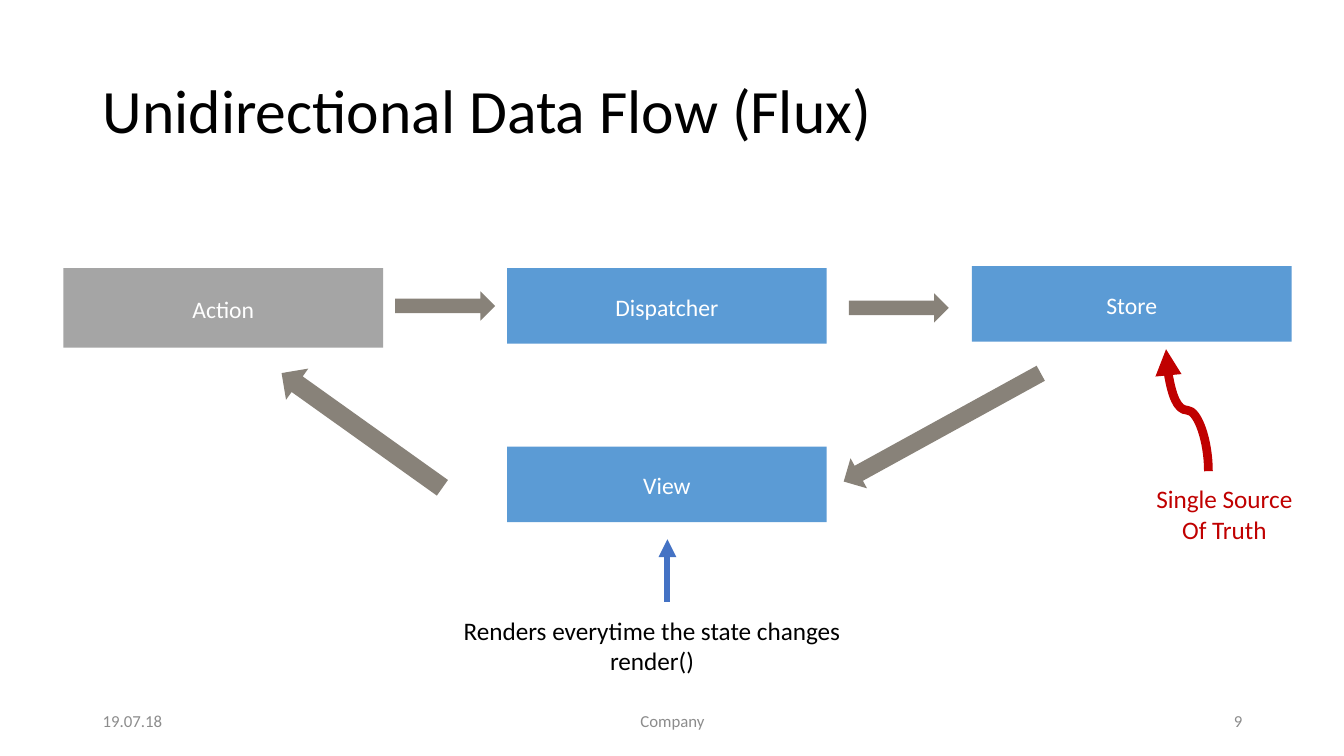
from lxml.etree import SubElement
from pptx import Presentation
from pptx.dml.color import RGBColor
from pptx.enum.shapes import MSO_CONNECTOR as Link, MSO_SHAPE as Shape
from pptx.enum.text import MSO_ANCHOR as Anchor, MSO_AUTO_SIZE as Fit, PP_ALIGN as Align
from pptx.oxml.ns import qn
from pptx.util import Inches, Pt

BLACK = RGBColor(0x00, 0x00, 0x00)
WHITE = RGBColor(0xFF, 0xFF, 0xFF)
GRAY = RGBColor(0xA5, 0xA5, 0xA5)
FOOTER_GRAY = RGBColor(0x8C, 0x8C, 0x8C)
ARROW_GRAY = RGBColor(0x88, 0x82, 0x79)
BLUE = RGBColor(0x5B, 0x9B, 0xD5)
POINTER_BLUE = RGBColor(0x44, 0x72, 0xC4)
RED = RGBColor(0xC0, 0x00, 0x00)


def write(para, text, size=18, color=BLACK, align=Align.LEFT, spacing=None, after=None):
    """Fill one paragraph with a formatted run."""
    para.alignment = align
    if spacing is not None:
        para.line_spacing = spacing
    if after is not None:
        para.space_after = Pt(after)
    span = para.add_run()
    span.text = text
    span.font.name = "Calibri"
    span.font.size = Pt(size)
    span.font.color.rgb = color


def add_title(page, left, top, width, height):
    """Place the slide title."""
    title = page.shapes.title
    title.left, title.top = Inches(left), Inches(top)
    title.width, title.height = Inches(width), Inches(height)
    frame = title.text_frame
    frame.word_wrap = True
    frame.auto_size = Fit.NONE
    frame.vertical_anchor = Anchor.MIDDLE
    write(frame.paragraphs[0], "Unidirectional Data Flow (Flux)", size=44, spacing=0.9)


def add_footer(page, left, top, width, height):
    """Place date, company and page number across the footer box."""
    side, middle = 3, 4.5
    parts = [
        ("19.07.18", left, side, Align.LEFT),
        ("Company", left + (width - middle) / 2, middle, Align.CENTER),
        ("9", left + width - side, side, Align.RIGHT),
    ]
    for text, part_left, part_width, align in parts:
        box = page.shapes.add_textbox(
            Inches(part_left), Inches(top), Inches(part_width), Inches(height))
        frame = box.text_frame
        frame.word_wrap = True
        frame.vertical_anchor = Anchor.MIDDLE
        write(frame.paragraphs[0], text, size=12, color=FOOTER_GRAY, align=align)


def add_block(page, kind, left, top, width, height, color, rotation=0):
    """Add a plain filled shape."""
    block = page.shapes.add_shape(
        kind, Inches(left), Inches(top), Inches(width), Inches(height))
    block.shadow.inherit = False
    block.fill.solid()
    block.fill.fore_color.rgb = color
    block.line.fill.background()
    block.rotation = rotation
    return block


def add_node(page, text, left, top, height=0.75, color=BLUE):
    """Add a labelled box of the data flow."""
    node = add_block(page, Shape.RECTANGLE, left, top, 3.17, height, color)
    frame = node.text_frame
    frame.word_wrap = True
    frame.vertical_anchor = Anchor.MIDDLE
    frame.margin_left = frame.margin_right = Inches(0.11)
    write(frame.paragraphs[0], text, size=16.9, color=WHITE,
          align=Align.CENTER, spacing=1.07, after=8.5)


def add_flow(page, left, top):
    """Place the four nodes and the block arrows of the cycle."""
    add_node(page, "Action", left, top + 0.02, height=0.79, color=GRAY)
    add_node(page, "Dispatcher", left + 4.4, top + 0.02)
    add_node(page, "Store", left + 9.01, top)
    add_node(page, "View", left + 4.4, top + 1.79)
    arrows = [
        (3.29, 0.25, 0.99, 0.29, 0),
        (7.79, 0.27, 0.99, 0.29, 0),
        (7.6, 1.43, 2.23, 0.34, 151.2),
        (1.98, 1.44, 1.96, 0.38, 215.5),
    ]
    for across, down, width, height, rotation in arrows:
        add_block(page, Shape.RIGHT_ARROW, left + across, top + down,
                  width, height, ARROW_GRAY, rotation)


def add_pointer(group, kind, start, end, color, weight, rotation=0):
    """Add a connector with an arrowhead at its end."""
    pointer = group.shapes.add_connector(kind, *map(Inches, start + end))
    pointer.line.color.rgb = color
    pointer.line.width = Pt(weight)
    properties = pointer._element.spPr
    SubElement(properties.find(qn("a:ln")), qn("a:tailEnd"), type="triangle")
    SubElement(properties, qn("a:effectLst"))
    if rotation:
        properties.find(qn("a:xfrm")).set("rot", str(rotation * 60000))


def add_caption(group, lines, left, top, width, color):
    """Add a two-line caption whose second line is centred."""
    box = group.shapes.add_textbox(
        Inches(left), Inches(top), Inches(width), Inches(0.71))
    frame = box.text_frame
    frame.word_wrap = False
    frame.auto_size = Fit.SHAPE_TO_FIT_TEXT
    write(frame.paragraphs[0], lines[0], color=color)
    write(frame.add_paragraph(), lines[1], color=color, align=Align.CENTER)


def add_store_note(page, left, top):
    """Place the red note that points at the store."""
    group = page.shapes.add_group_shape()
    add_pointer(group, Link.CURVE, (left - 0.2, top + 0.82), (left + 1.01, top + 0.4),
                RED, 6.25, rotation=270)
    add_caption(group, ["Single Source", "Of Truth"], left, top + 1.29, 1.57, RED)


def add_view_note(page, left, top):
    """Place the note that points at the view."""
    group = page.shapes.add_group_shape()
    add_pointer(group, Link.STRAIGHT, (left + 2.12, top + 0.62), (left + 2.12, top),
                POINTER_BLUE, 4.25)
    add_caption(group, ["Renders everytime the state changes", "render()"],
                left, top + 0.7, 3.98, BLACK)


def main():
    """Build the deck and save it."""
    deck = Presentation()
    deck.slide_width, deck.slide_height = Inches(13.33), Inches(7.5)
    page = deck.slides.add_slide(deck.slide_layouts[5])
    add_title(page, 0.92, 0.4, 11.5, 1.45)
    add_footer(page, 0.92, 6.95, 11.5, 0.4)
    add_flow(page, 0.63, 2.64)
    add_store_note(page, 11.37, 3.46)
    add_view_note(page, 4.5, 5.35)
    deck.save("out.pptx")


if __name__ == "__main__":
    main()
